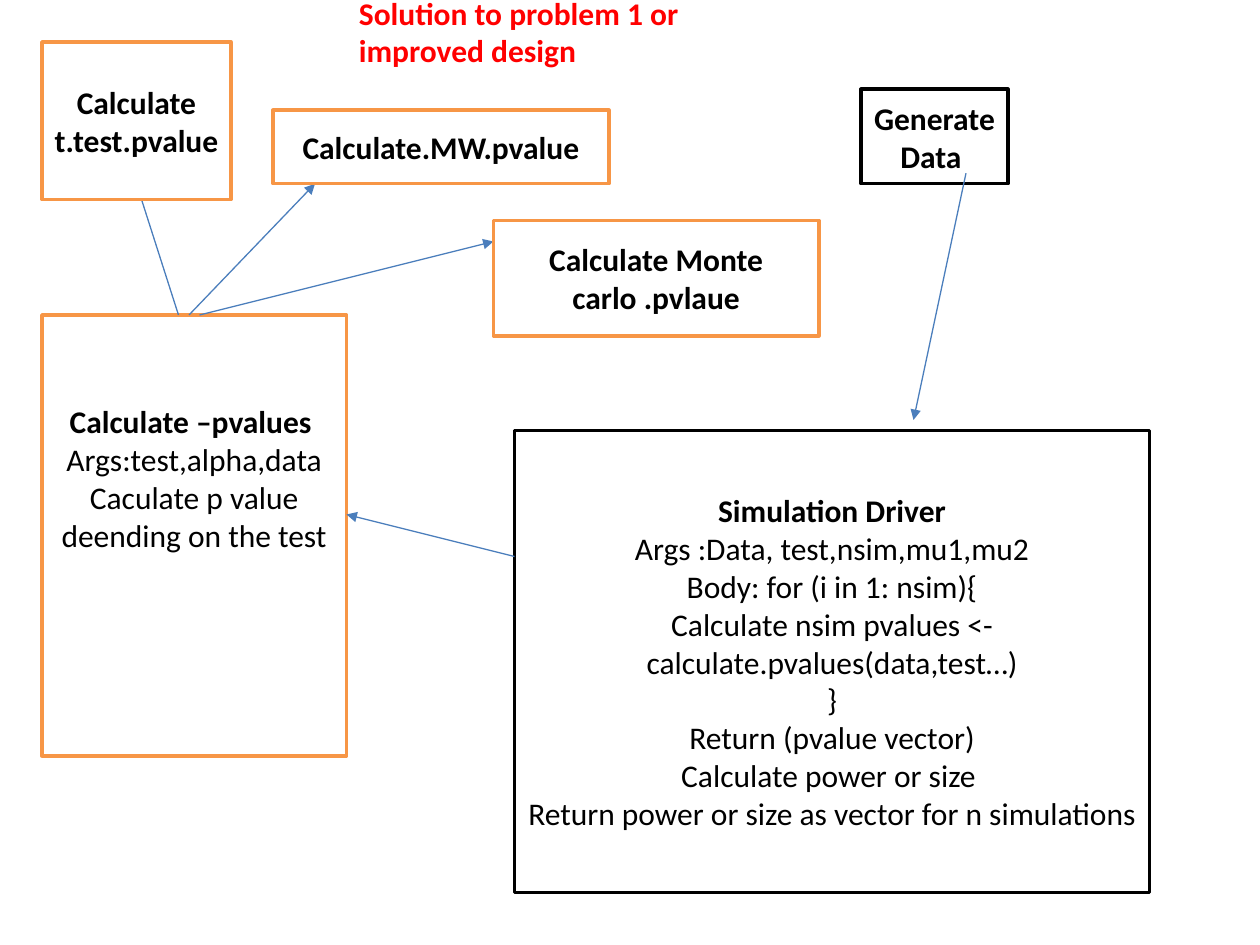
from pptx import Presentation
from pptx.dml.color import RGBColor
from pptx.enum import shapes, text
from pptx.oxml.ns import qn
from pptx.util import Pt
from lxml import etree

ORANGE = RGBColor(0xF7, 0x96, 0x46)
BLACK = RGBColor(0, 0, 0)
WHITE = RGBColor(0xFF, 0xFF, 0xFF)
RED = RGBColor(0xFF, 0, 0)
BLUE = RGBColor(0x4B, 0x7E, 0xBC)

prs = Presentation()
prs.slide_width, prs.slide_height = Pt(720), Pt(540)
s = prs.slides.add_slide(prs.slide_layouts[6])


def write(tf, lines, color):
    """Fill the frame with 18 pt lines, the first one bold."""
    tf.word_wrap = True
    tf.text = "\n".join(lines)
    for i, p in enumerate(tf.paragraphs):
        for r in p.runs:
            r.font.name, r.font.size = "Calibri", Pt(18)
            r.font.bold = i == 0
            r.font.color.rgb = color


def add_box(x, y, w, h, line, lines):
    sp = s.shapes.add_shape(shapes.MSO_SHAPE.RECTANGLE, Pt(x), Pt(y), Pt(w), Pt(h))
    sp.shadow.inherit = False
    sp.fill.solid()
    sp.fill.fore_color.rgb = WHITE
    sp.line.color.rgb = line
    sp.line.width = Pt(2)
    tf = sp.text_frame
    write(tf, lines, BLACK)
    tf.vertical_anchor = text.MSO_ANCHOR.MIDDLE
    for p in tf.paragraphs:
        p.alignment = text.PP_ALIGN.CENTER
    return sp


# Main functions
pvalues = add_box(24, 180, 174, 252, ORANGE, [
    "Calculate –pvalues ",
    "Args:test,alpha,data",
    "Caculate p value deending on the test",
])
pvalues.text_frame.margin_bottom = Pt(69.5)  # lifts the text above the middle

add_box(492, 51, 84, 54, BLACK, ["Generate Data "])
add_box(294, 246, 363, 264, BLACK, [
    "Simulation Driver",
    "Args :Data, test,nsim,mu1,mu2",
    "Body: for (i in 1: nsim){",
    "Calculate nsim pvalues <-calculate.pvalues(data,test…)",
    "}",
    "Return (pvalue vector)",
    "Calculate power or size ",
    "Return power or size as vector for n simulations ",
])

# Title
title = s.shapes.add_textbox(Pt(198), Pt(-7.2), Pt(240), Pt(51))
write(title.text_frame, ["Solution to problem 1 or improved design"], RED)

# Arrows: from x, y to x, y
for x1, y1, x2, y2 in [
    (552, 99, 522, 240),
    (294, 318, 198, 294),
    (102, 180, 78, 105),
    (108, 180, 180, 105),
    (114, 180, 282, 138),
]:
    cx = s.shapes.add_connector(
        shapes.MSO_CONNECTOR.STRAIGHT, Pt(x1), Pt(y1), Pt(x2), Pt(y2))
    cx.line.color.rgb = BLUE
    cx.line.width = Pt(0.75)
    etree.SubElement(cx.line._get_or_add_ln(), qn("a:tailEnd"), type="triangle")
    etree.SubElement(cx._element.spPr, qn("a:effectLst"))

# Individual tests, in front of the arrows
for x, y, w, h, name in [
    (24, 24, 108, 90, "Calculate t.test.pvalue"),
    (156, 63, 192, 42, "Calculate.MW.pvalue"),
    (282, 126, 186, 66, "Calculate Monte carlo .pvlaue"),
]:
    add_box(x, y, w, h, ORANGE, [name])

prs.save("out.pptx")
